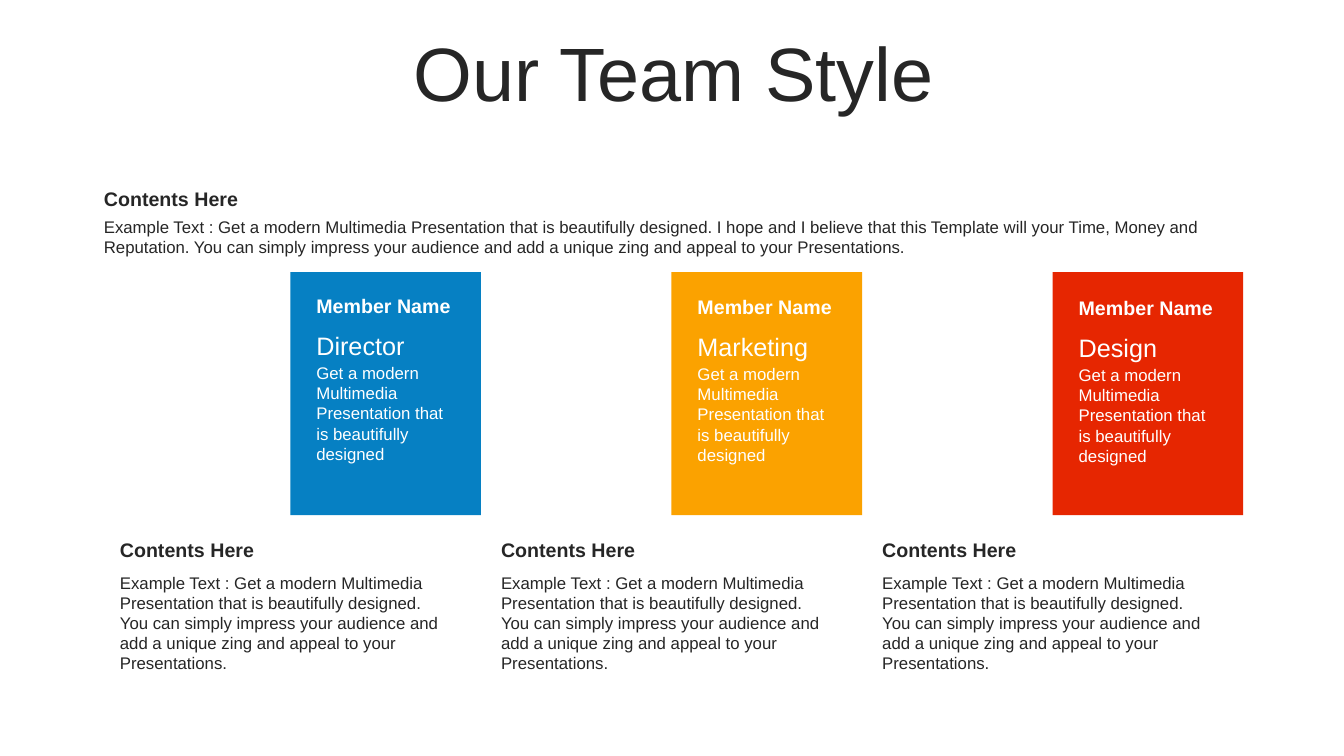
"""Build the team slide: a title, an introduction and three member columns."""
from pptx import Presentation
from pptx.dml.color import RGBColor as RGB
from pptx.enum.shapes import MSO_SHAPE as SHAPE
from pptx.enum.text import MSO_ANCHOR as ANCHOR, PP_ALIGN as ALIGN
from pptx.util import Inches, Pt

WIDTH, HEIGHT = Inches(13.33), Inches(7.5)
COL, ROW = WIDTH / 100, HEIGHT / 100
PITCH = 28.36
DROP = 0.13
FONT = "Arial"
COLORS = {
    "ink": "262626",
    "white": "FFFFFF",
    "blue": "0680C3",
    "amber": "FBA200",
    "red": "E62601",
}
MEMBERS = [("Director", "blue"), ("Marketing", "amber"), ("Design", "red")]
HEADING = "Contents Here"
NAME = "Member Name"
BLURB = "Get a modern Multimedia Presentation that is beautifully designed"
OPENING = f"Example Text : {BLURB}."
CLOSING = ("You can simply impress your audience and add a unique zing "
           "and appeal to your Presentations.")
INTRO = (f"{OPENING} I hope and I believe that this Template will your Time, "
         f"Money and Reputation. {CLOSING}")
DETAIL = f"{OPENING} {CLOSING}"


def grid(x, y, w, h):
    """Turn columns and rows of a 100 by 100 grid into slide lengths."""
    return int(x * COL), int(y * ROW), int(w * COL), int(h * ROW)


def add_text(s, area, text, size, color="ink", bold=False,
             anchor=ANCHOR.TOP, align=ALIGN.LEFT, left=0.1):
    """Add a wrapped text box holding one run."""
    tf = s.shapes.add_textbox(*grid(*area)).text_frame
    tf.word_wrap = True
    tf.vertical_anchor = anchor
    tf.margin_left = Inches(left)
    p = tf.paragraphs[0]
    p.alignment = align
    r = p.add_run()
    r.text = text
    r.font.name, r.font.size, r.font.bold = FONT, Pt(size), bold
    r.font.color.rgb = RGB.from_string(COLORS[color])
    return p


def add_card(s, area, color):
    """Add a plain coloured rectangle."""
    sp = s.shapes.add_shape(SHAPE.RECTANGLE, *grid(*area))
    sp.shadow.inherit = False
    sp.fill.solid()
    sp.fill.fore_color.rgb = RGB.from_string(COLORS[color])
    sp.line.fill.background()


def add_member(s, i, role, color):
    """Add one member's card and the contents below it."""
    shift, drop = i * PITCH, i * DROP
    add_card(s, (21.6 + shift, 36, 14.18, 32.13), color)
    x = 22.8 + shift
    add_text(s, (x, 38.27 + drop, 11.85, 4.53), NAME, 14, "white", bold=True)
    add_text(s, (x, 43.07 + drop, 11.85, 4), role, 18, "white")
    add_text(s, (x, 47.33 + drop, 11.85, 14.8), BLURB, 12, "white")
    x = 8.18 + shift
    add_text(s, (x, 70.53, 25.88, 4.53), HEADING, 14, bold=True)
    add_text(s, (x, 75.07, 25.88, 14.8), DETAIL, 12)


def main():
    """Build and save the slide."""
    prs = Presentation()
    prs.slide_width, prs.slide_height = WIDTH, HEIGHT
    s = prs.slides.add_slide(prs.slide_layouts[6])
    title = add_text(s, (2.63, 4.93, 94.97, 10.53), "Our Team Style", 54,
                     anchor=ANCHOR.MIDDLE, align=ALIGN.CENTER)
    title.line_spacing = 0.9
    add_text(s, (7.73, 23.87, 65.57, 4.8), HEADING, 14, bold=True,
             anchor=ANCHOR.MIDDLE, left=0)
    add_text(s, (7.73, 28, 84.92, 8.13), INTRO, 12, left=0)
    for i, (role, color) in enumerate(MEMBERS):
        add_member(s, i, role, color)
    prs.save("out.pptx")


if __name__ == "__main__":
    main()
